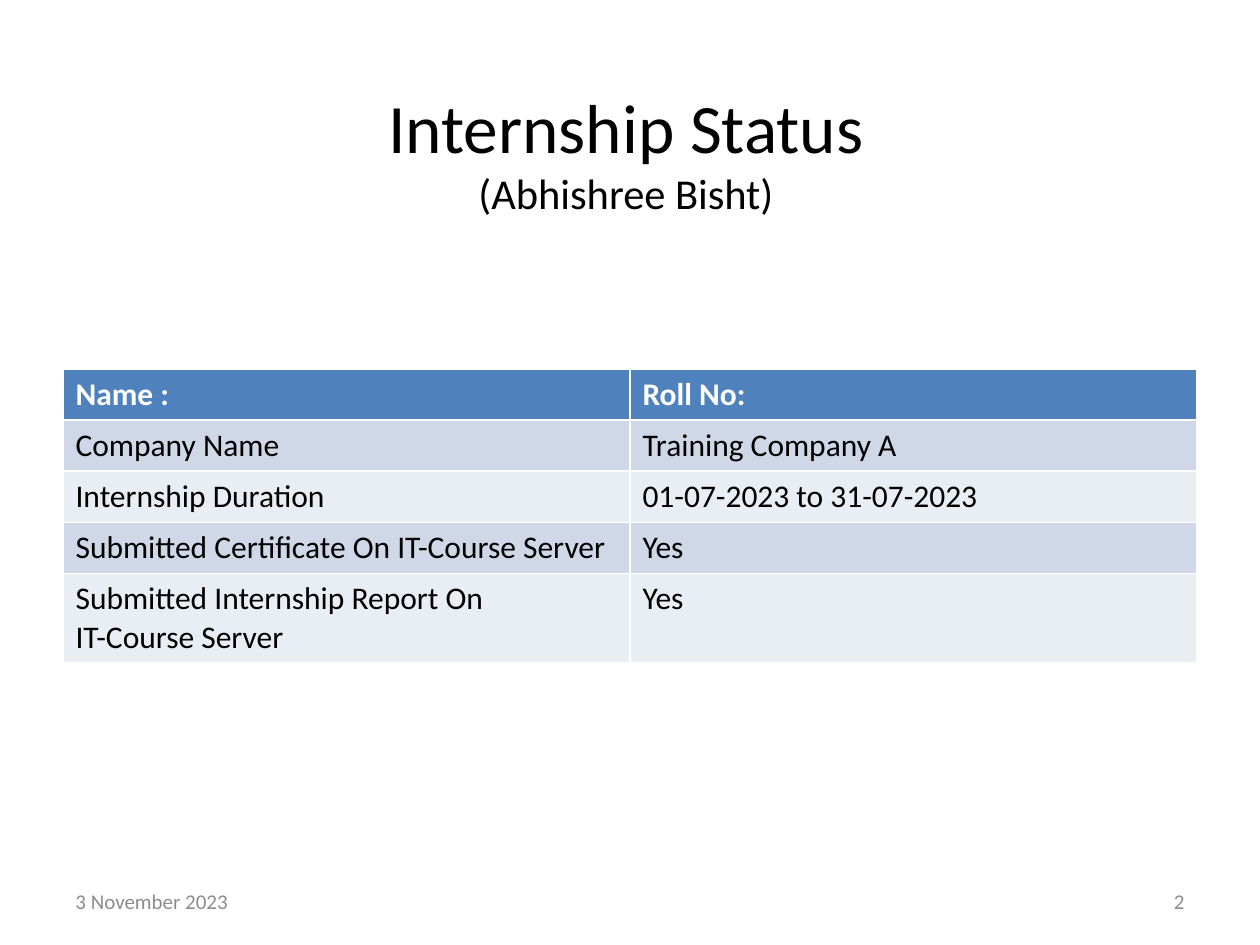
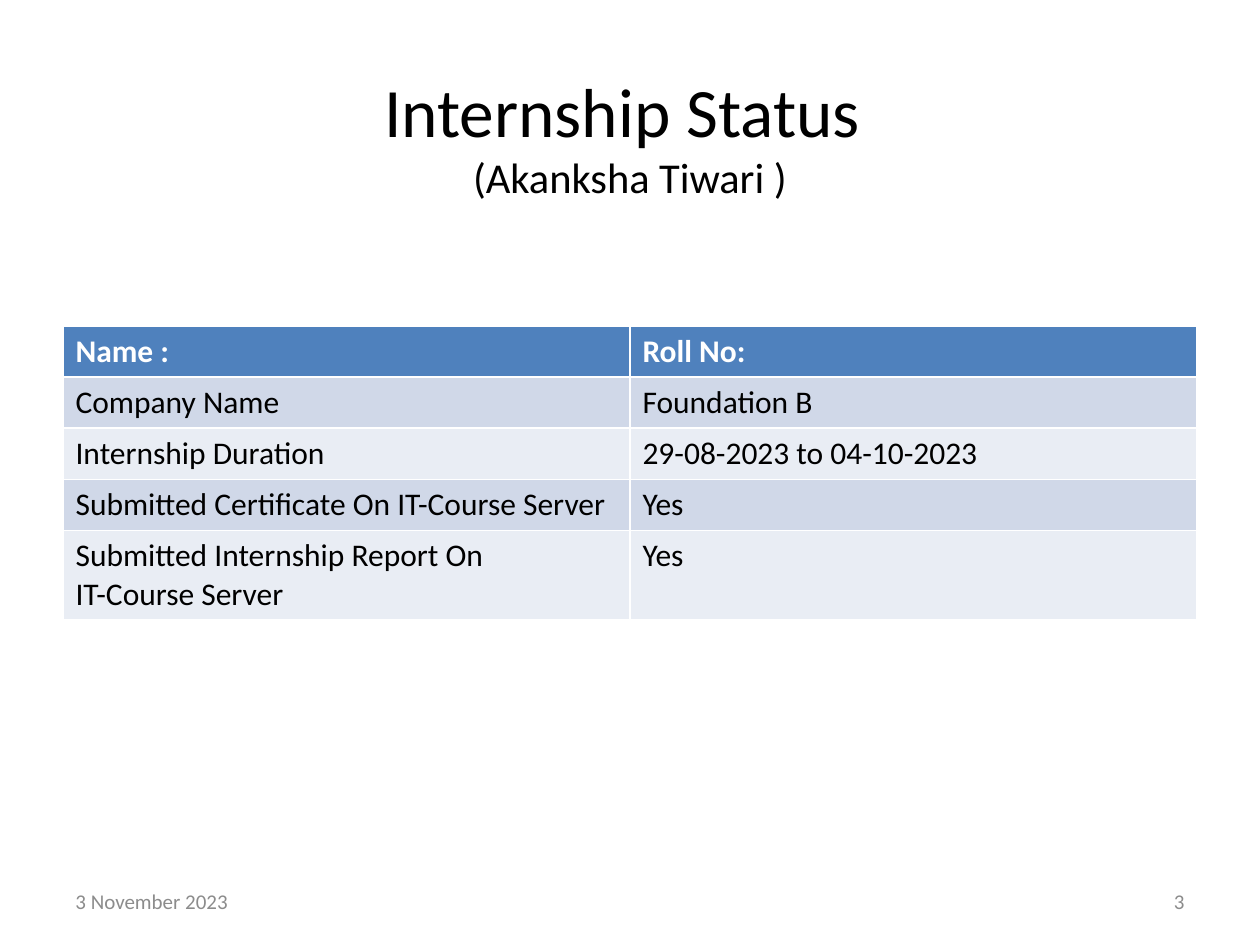
"""Builds two internship status slides, each with a title, a table and a footer."""
import pptx
import pptx.dml.color
import pptx.enum.text
import pptx.util

PX = 914400 // 126
MARGIN = 63
CONTENT_WIDTH = 1134
ROW_HEIGHT = 51
TALL_ROW_HEIGHT = 89
ALIGN = pptx.enum.text.PP_ALIGN
ANCHOR = pptx.enum.text.MSO_ANCHOR


def color(hex_string):
    return pptx.dml.color.RGBColor.from_string(hex_string)


class StatusDeck:
    FONT = "Calibri"
    TEXT, HEADER_TEXT, MUTED = "000000", "FFFFFF", "8C8C8C"
    HEADER_FILL, BANDS = "4F81BD", ("E9EDF4", "D0D8E8")

    def __init__(self):
        self.presentation = pptx.Presentation()
        self.presentation.slide_width = 1260 * PX
        self.presentation.slide_height = 945 * PX
        self.slide = None

    def add_slide(self):
        layout = self.presentation.slide_layouts[5]
        self.slide = self.presentation.slides.add_slide(layout)

    def style(self, run, size, ink, bold=False):
        run.font.name = self.FONT
        run.font.size = pptx.util.Pt(size)
        run.font.color.rgb = color(ink)
        run.font.bold = bold

    def title(self, heading, student, left, top):
        title = self.slide.shapes.title
        title.left, title.top = left * PX, top * PX
        title.width, title.height = CONTENT_WIDTH * PX, 158 * PX
        frame = title.text_frame
        frame.auto_size = pptx.enum.text.MSO_AUTO_SIZE.NONE
        frame.vertical_anchor = ANCHOR.TOP
        frame.margin_top = 0
        frame.text = f"{heading}\v({student})"
        paragraph = frame.paragraphs[0]
        paragraph.alignment = ALIGN.CENTER
        for run, size in zip(paragraph.runs, (39.6, 24.3)):
            self.style(run, size, self.TEXT)

    def table(self, rows, top):
        heights = [ROW_HEIGHT] * (len(rows) - 1) + [TALL_ROW_HEIGHT]
        table = self.slide.shapes.add_table(
            len(rows), 2, MARGIN * PX, top * PX,
            CONTENT_WIDTH * PX, sum(heights) * PX).table
        for row_index, (labels, height) in enumerate(zip(rows, heights)):
            table.rows[row_index].height = height * PX
            is_header = row_index == 0
            fill = self.HEADER_FILL if is_header else self.BANDS[row_index % 2]
            for column_index, label in enumerate(labels):
                cell = table.cell(row_index, column_index)
                cell.fill.solid()
                cell.fill.fore_color.rgb = color(fill)
                cell.text_frame.text = label
                ink = self.HEADER_TEXT if is_header else self.TEXT
                for paragraph in cell.text_frame.paragraphs:
                    for run in paragraph.runs:
                        self.style(run, 18, ink, bold=is_header)

    def footer(self, text, left, alignment):
        box = self.slide.shapes.add_textbox(left * PX, 876 * PX, 294 * PX, 50 * PX)
        frame = box.text_frame
        frame.word_wrap = True
        frame.vertical_anchor = ANCHOR.MIDDLE
        frame.text = text
        frame.paragraphs[0].alignment = alignment
        self.style(frame.paragraphs[0].runs[0], 12, self.MUTED)

    def status_slide(self, number, heading, student, title_at, table_top,
                     company, duration):
        self.add_slide()
        self.title(heading, student, *title_at)
        self.table([
            ("Name :", "Roll No:"),
            ("Company Name", company),
            ("Internship Duration", duration),
            ("Submitted Certificate On IT-Course Server", "Yes"),
            ("Submitted Internship Report On\nIT-Course Server", "Yes"),
        ], table_top)
        self.footer("3 November 2023", MARGIN, ALIGN.LEFT)
        self.footer(str(number), MARGIN + CONTENT_WIDTH - 294, ALIGN.RIGHT)


def main():
    deck = StatusDeck()
    deck.status_slide(2, "Internship Status", "Abhishree Bisht", (59, 84), 369,
                      "Training Company A", "01-07-2023 to 31-07-2023")
    deck.status_slide(3, "Internship Status ", "Akanksha Tiwari ", (63, 68), 326,
                      "Foundation B", "29-08-2023 to 04-10-2023")
    deck.presentation.save("out.pptx")


if __name__ == "__main__":
    main()
